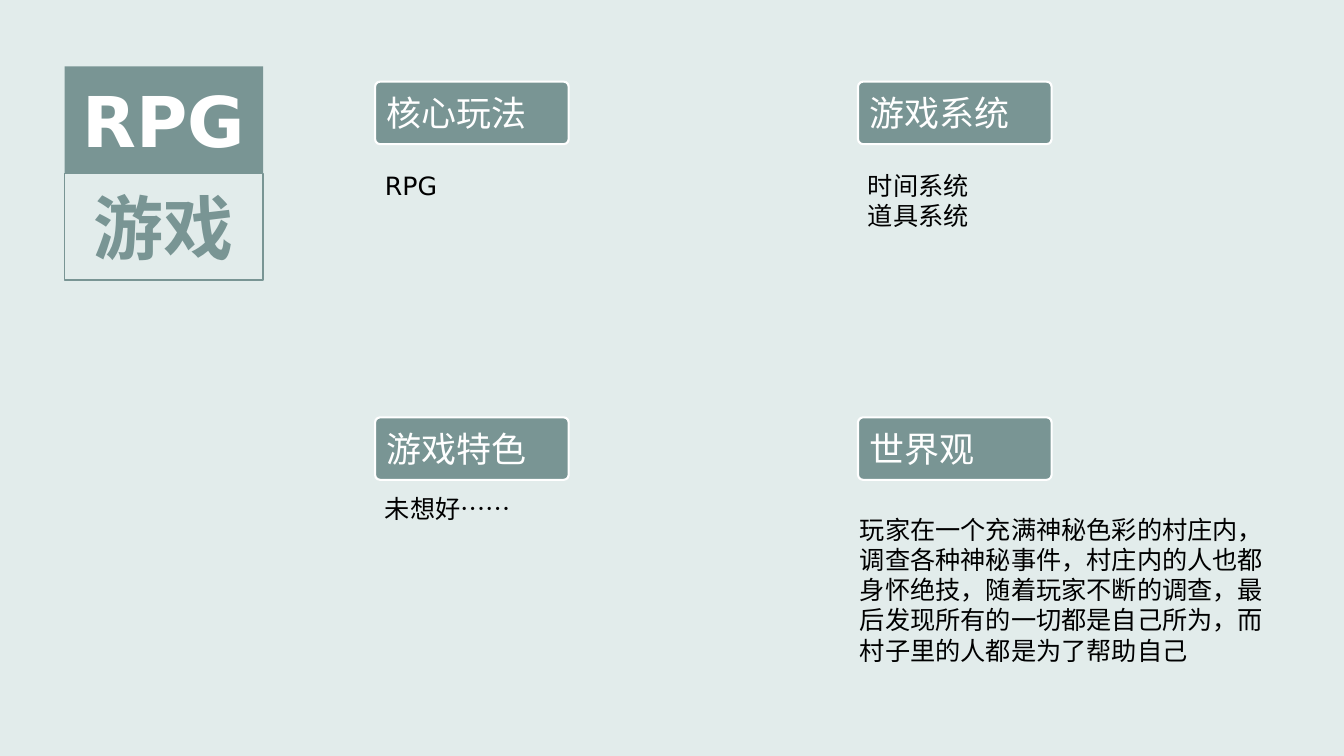
import pptx
import pptx.util
import pptx.dml.color
import pptx.enum.shapes
import pptx.enum.text

Inches = pptx.util.Inches
Pt = pptx.util.Pt
RGBColor = pptx.dml.color.RGBColor
SHAPE = pptx.enum.shapes.MSO_SHAPE
ALIGN = pptx.enum.text.PP_ALIGN
ANCHOR = pptx.enum.text.MSO_ANCHOR

MIST = RGBColor(0xE2, 0xEC, 0xEB)
SAGE = RGBColor(0x79, 0x95, 0x94)
WHITE = RGBColor(0xFF, 0xFF, 0xFF)
BLACK = RGBColor(0, 0, 0)
FONT = "DejaVu Sans"


def write(shape, lines, size, color, align=ALIGN.LEFT, bold=False):
    frame = shape.text_frame
    frame.word_wrap = True
    frame.text = "\n".join(lines)
    for para in frame.paragraphs:
        para.alignment = align
        para.font.name = FONT
        para.font.size = Pt(size)
        para.font.bold = bold
        para.font.color.rgb = color


def panel(shapes, kind, box, fill, line, width):
    shape = shapes.add_shape(kind, *map(Inches, box))
    shape.shadow.inherit = False
    shape.fill.solid()
    shape.fill.fore_color.rgb = fill
    if line is None:
        shape.line.fill.background()
    else:
        shape.line.color.rgb = line
        shape.line.width = Pt(width)
    shape.text_frame.vertical_anchor = ANCHOR.MIDDLE
    return shape


def title(slide, left, top, width, height):
    group = slide.shapes.add_group_shape()
    half = height / 2
    parts = [("RPG", SAGE, None, WHITE), ("游戏", MIST, SAGE, SAGE)]
    for row, (text, fill, line, color) in enumerate(parts):
        box = (left, top + row * half, width, half)
        shape = panel(group.shapes, SHAPE.RECTANGLE, box, fill, line, 1)
        write(shape, [text], 50, color, ALIGN.CENTER, True)


def topic(slide, left, top, head, lines, body):
    badge = panel(slide.shapes, SHAPE.ROUNDED_RECTANGLE,
                  (left, top, 1.92, 0.62), SAGE, WHITE, 1.5)
    badge.adjustments[0] = 0.08
    write(badge, [head], 25, WHITE)
    shift, drop, width, height = body
    note = slide.shapes.add_textbox(
        Inches(left + shift), Inches(top + drop), Inches(width), Inches(height))
    write(note, lines, 18, BLACK)


def main():
    deck = pptx.Presentation()
    deck.slide_width = Inches(13.33)
    deck.slide_height = Inches(7.5)
    slide = deck.slides.add_slide(deck.slide_layouts[6])
    slide.background.fill.solid()
    slide.background.fill.fore_color.rgb = MIST

    title(slide, 0.64, 0.66, 1.97, 2.12)

    story = ("玩家在一个充满神秘色彩的村庄内，调查各种神秘事件，村庄内的人也都身怀绝技，"
             "随着玩家不断的调查，最后发现所有的一切都是自己所为，而村子里的人都是为了帮助自己")
    topics = [
        ("核心玩法", ["RPG"], (0, 0.83, 2.47, 0.4)),
        ("游戏系统", ["时间系统", "道具系统"], (0, 0.83, 2.47, 0.71)),
        ("游戏特色", ["未想好……"], (0, 0.7, 2.47, 0.4)),
        ("世界观", [story], (-0.08, 0.91, 4.25, 1.62)),
    ]
    for i, (head, lines, body) in enumerate(topics):
        row, col = divmod(i, 2)
        topic(slide, 3.72 + col * 4.79, 0.81 + row * 3.33, head, lines, body)

    deck.save("out.pptx")


if __name__ == "__main__":
    main()
